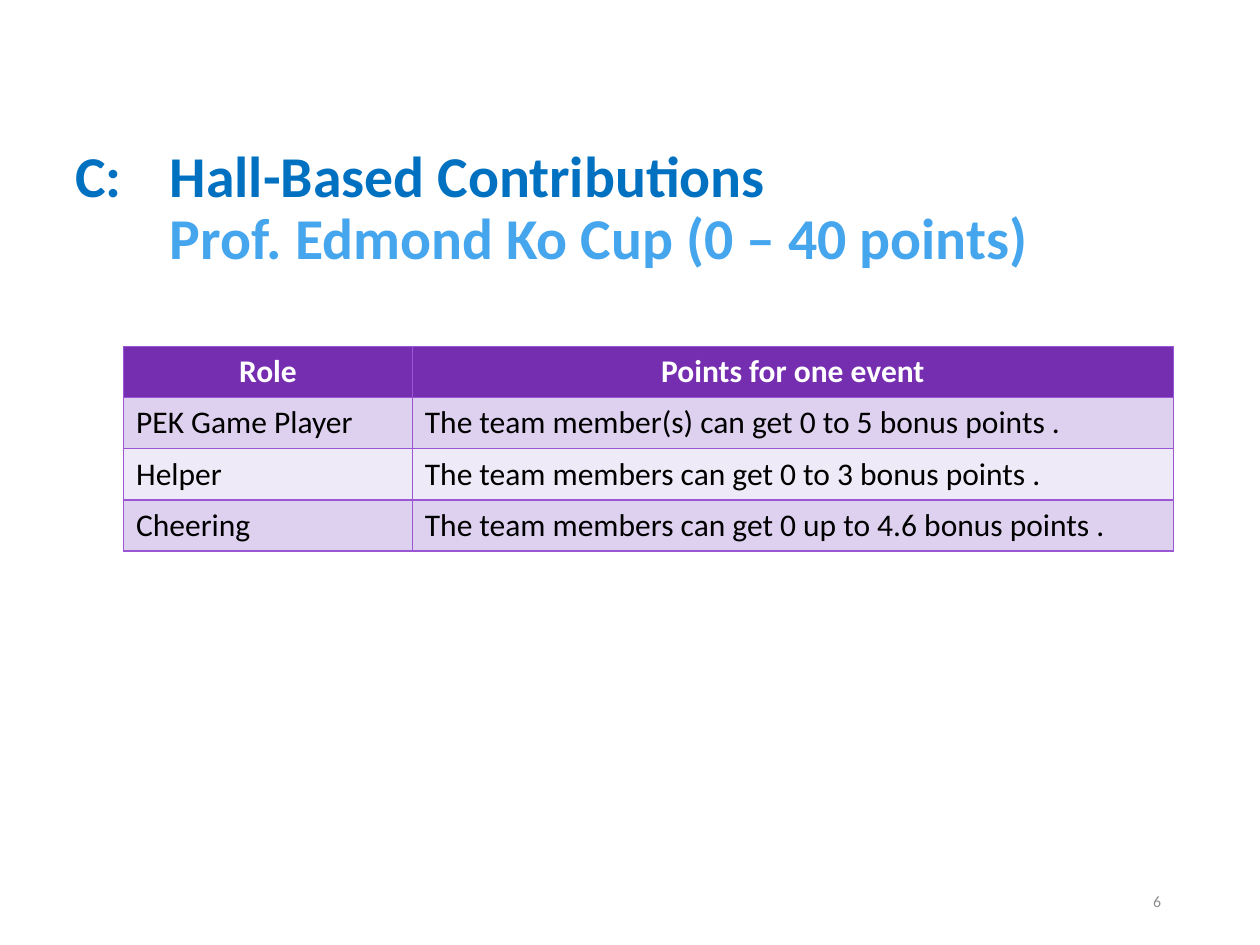
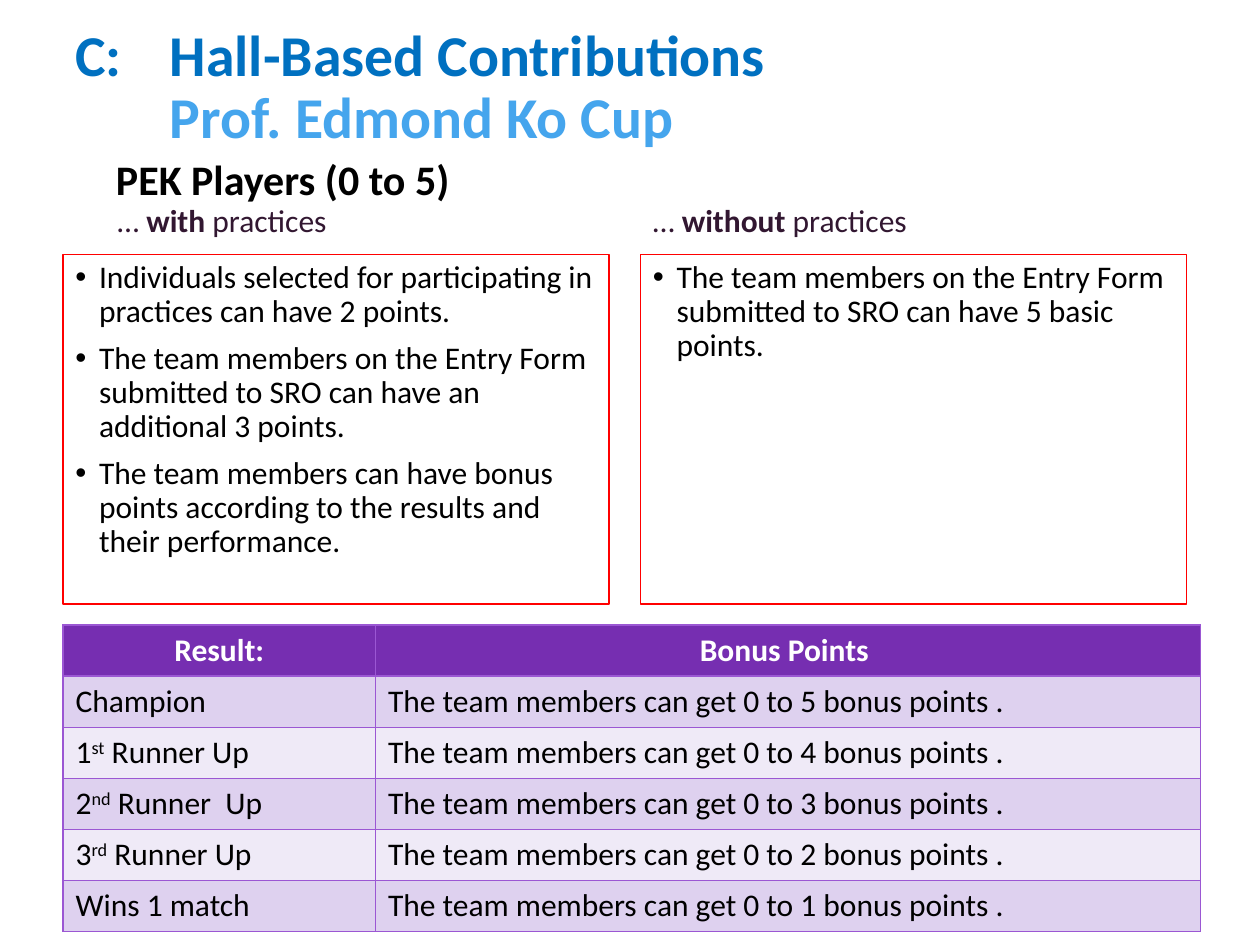
from dataclasses import dataclass
from typing import NamedTuple

from lxml.etree import SubElement, fromstring
from pptx import Presentation
from pptx.dml.color import RGBColor
from pptx.enum.shapes import MSO_SHAPE
from pptx.enum.text import MSO_ANCHOR, PP_ALIGN
from pptx.oxml.ns import nsdecls, qn
from pptx.util import Pt


@dataclass(frozen=True)
class Theme:
    """Colours, type sizes and spacing shared by the slides."""

    font: str = "Calibri"
    title_blue: str = "0070C0"
    subtitle_blue: str = "45A5ED"
    black: str = "000000"
    white: str = "FFFFFF"
    plum: str = "321731"
    grey: str = "8C8C8C"
    red: str = "FF0000"
    header_purple: str = "762EB1"
    border_purple: str = "9B57D3"
    band_fills: tuple = ("DED1EF", "EFEAF7")
    title_size: float = 33
    heading_size: float = 24
    body_size: float = 18
    footer_size: float = 9
    line_spacing: float = 0.9
    space_before: float = 7.5
    row_height: float = 29.2


THEME = Theme()


class Box(NamedTuple):
    """A rectangle in points."""

    left: float
    top: float
    width: float
    height: float

    def lengths(self):
        """Return the four measures as slide lengths."""
        return [Pt(value) for value in self]


class Piece(NamedTuple):
    """A stretch of text with its emphasis."""

    text: str
    bold: bool = False
    raised: bool = False


def style_run(run, size, color, bold=False):
    """Give one run its font, size, colour and weight."""
    run.font.name = THEME.font
    run.font.size = Pt(size)
    run.font.bold = bold
    run.font.color.rgb = RGBColor.from_string(color)


def write_pieces(paragraph, pieces, size, color):
    """Fill a paragraph with differently emphasised pieces."""
    for piece in pieces:
        run = paragraph.add_run()
        run.text = piece.text
        style_run(run, size, color, piece.bold)
        if piece.raised:
            run.font._element.set("baseline", "30000")


def space_paragraph(paragraph):
    """Apply the shared body spacing."""
    paragraph.line_spacing = THEME.line_spacing
    paragraph.space_before = Pt(THEME.space_before)


def add_text(slide, box, pieces, size, color, anchor=MSO_ANCHOR.TOP, wrap=True):
    """Place a one-paragraph text box and return its paragraph."""
    text_frame = slide.shapes.add_textbox(*box.lengths()).text_frame
    text_frame.word_wrap = wrap
    text_frame.vertical_anchor = anchor
    paragraph = text_frame.paragraphs[0]
    write_pieces(paragraph, pieces, size, color)
    return paragraph


def add_title(slide, box, subtitle):
    """Place the two-line section title with its tab stop."""
    paragraph = add_text(slide, box, [], THEME.title_size, THEME.title_blue, MSO_ANCHOR.MIDDLE)
    paragraph.text = f"C: \tHall-Based Contributions\v\t{subtitle}"
    paragraph.line_spacing = THEME.line_spacing
    for run, color in zip(paragraph.runs, (THEME.title_blue, THEME.subtitle_blue)):
        style_run(run, THEME.title_size, color, bold=True)
    tab_list = SubElement(paragraph._p.get_or_add_pPr(), qn("a:tabLst"))
    SubElement(tab_list, qn("a:tab"), pos=str(Pt(54)), algn="l")


def add_page_number(slide, box, number):
    """Place the page number at the right of the footer."""
    paragraph = add_text(
        slide, box, [Piece(number)], THEME.footer_size, THEME.grey, MSO_ANCHOR.MIDDLE
    )
    paragraph.alignment = PP_ALIGN.RIGHT


def add_bullet(paragraph):
    """Give a paragraph a hanging round bullet."""
    properties = paragraph._p.get_or_add_pPr()
    properties.set("marL", str(Pt(13.5)))
    properties.set("indent", str(Pt(-13.5)))
    SubElement(properties, qn("a:buFont"), typeface="Arial")
    SubElement(properties, qn("a:buChar"), char="•")


def add_practice_column(slide, box, emphasis, rules):
    """Place a column heading above its red-outlined list of rules."""
    heading_height = 27
    heading = add_text(
        slide,
        Box(box.left, box.top, box.width, heading_height),
        [Piece("… "), Piece(f"{emphasis} ", bold=True), Piece("practices")],
        THEME.body_size,
        THEME.plum,
        MSO_ANCHOR.BOTTOM,
    )
    space_paragraph(heading)
    return add_rules(slide, box, heading_height + 5.4, rules)


def add_rules(slide, box, offset, rules):
    """Place the outlined list in the lower part of a column."""
    area = Box(box.left, box.top + offset, box.width, box.height - offset)
    panel = slide.shapes.add_shape(MSO_SHAPE.RECTANGLE, *area.lengths())
    panel.shadow.inherit = False
    panel.fill.background()
    panel.line.color.rgb = RGBColor.from_string(THEME.red)
    panel.line.width = Pt(0.75)
    text_frame = panel.text_frame
    text_frame.word_wrap = True
    text_frame.vertical_anchor = MSO_ANCHOR.TOP
    text_frame.text = "\n".join(rules)
    for paragraph in text_frame.paragraphs:
        paragraph.alignment = PP_ALIGN.LEFT
        space_paragraph(paragraph)
        add_bullet(paragraph)
        style_run(paragraph.runs[0], THEME.body_size, THEME.black)
    return panel


def add_cell_borders(cell):
    """Draw thin purple lines on all sides of a cell."""
    properties = cell._tc.get_or_add_tcPr()
    for index, side in enumerate(("lnL", "lnR", "lnT", "lnB")):
        border = fromstring(
            f'<a:{side} {nsdecls("a")} w="{Pt(1)}"><a:solidFill>'
            f'<a:srgbClr val="{THEME.border_purple}"/></a:solidFill></a:{side}>'
        )
        properties.insert(index, border)


def add_points_table(slide, box, first_width, header, entries):
    """Place a banded table of labels and their points."""
    rows = [[[Piece(text, bold=True)] for text in header]]
    rows += [[label, [Piece(points)]] for label, points in entries]
    table = slide.shapes.add_table(len(rows), 2, *box.lengths()).table
    table.columns[0].width = Pt(first_width)
    table.columns[1].width = Pt(box.width - first_width)
    for row_index, row in enumerate(rows):
        table.rows[row_index].height = Pt(THEME.row_height)
        is_header = row_index == 0
        fill = THEME.header_purple if is_header else THEME.band_fills[(row_index - 1) % 2]
        for column_index, pieces in enumerate(row):
            cell = table.cell(row_index, column_index)
            cell.vertical_anchor = MSO_ANCHOR.MIDDLE
            cell.fill.solid()
            cell.fill.fore_color.rgb = RGBColor.from_string(fill)
            add_cell_borders(cell)
            paragraph = cell.text_frame.paragraphs[0]
            paragraph.alignment = PP_ALIGN.CENTER if is_header else PP_ALIGN.LEFT
            write_pieces(
                paragraph, pieces, THEME.body_size, THEME.white if is_header else THEME.black
            )


def build_roles_slide(slide):
    """Show the points each role can earn."""
    add_title(slide, Box(36, 74.9, 600, 90), "Prof. Edmond Ko Cup (0 – 40 points)")
    add_page_number(slide, Box(508.5, 500.5, 162, 28.75), "6")
    entries = [
        ([Piece("PEK Game Player")], "The team member(s) can get 0 to 5 bonus points ."),
        ([Piece("Helper")], "The team members can get 0 to 3 bonus points ."),
        ([Piece("Cheering")], "The team members can get 0 up to 4.6 bonus points ."),
    ]
    box = Box(70.6, 198, 600, THEME.row_height * 4)
    add_points_table(slide, box, 165, ("Role", "Points for one event"), entries)


def build_players_slide(slide):
    """Show the points players earn by practices and results."""
    add_title(slide, Box(36, 5.9, 600, 90), "Prof. Edmond Ko Cup")
    with_rules = [
        "Individuals selected for participating in practices can have 2 points.",
        "The team members on the Entry Form submitted to SRO can have an additional 3 points.",
        "The team members can have bonus points according to the results and their performance.",
    ]
    without_rules = [
        "The team members on the Entry Form submitted to SRO can have 5 basic points."
    ]
    columns = [(36, 24, "with", with_rules), (366, 0, "without", without_rules)]
    for left, heading_indent, emphasis, rules in columns:
        panel = add_practice_column(slide, Box(left, 113.2, 312, 232), emphasis, rules)
        heading = slide.shapes[slide.shapes.index(panel) - 1]
        heading.left += Pt(heading_indent)
        heading.width = Pt(250)
    ranks = [("1", "st", " Runner Up"), ("2", "nd", " Runner  Up"), ("3", "rd", " Runner Up")]
    labels = [[Piece("Champion")]]
    labels += [[Piece(rank), Piece(suffix, raised=True), Piece(name)] for rank, suffix, name in ranks]
    labels.append([Piece("Wins 1 match")])
    entries = [
        (label, f"The team members can get 0 to {5 - place} bonus points .")
        for place, label in enumerate(labels)
    ]
    box = Box(36, 357.2, 650, THEME.row_height * 6)
    add_points_table(slide, box, 178.6, ("Result:", "Bonus Points "), entries)
    add_text(
        slide,
        Box(59.2, 84.4, 206.5, 36),
        [Piece("PEK Players (0 to 5)", bold=True)],
        THEME.heading_size,
        THEME.black,
        wrap=False,
    )


def main():
    """Build the presentation and save it."""
    presentation = Presentation()
    presentation.slide_width, presentation.slide_height = Pt(720), Pt(540)
    blank_layout = presentation.slide_layouts[6]
    for build_slide in (build_roles_slide, build_players_slide):
        build_slide(presentation.slides.add_slide(blank_layout))
    presentation.save("out.pptx")


if __name__ == "__main__":
    main()
